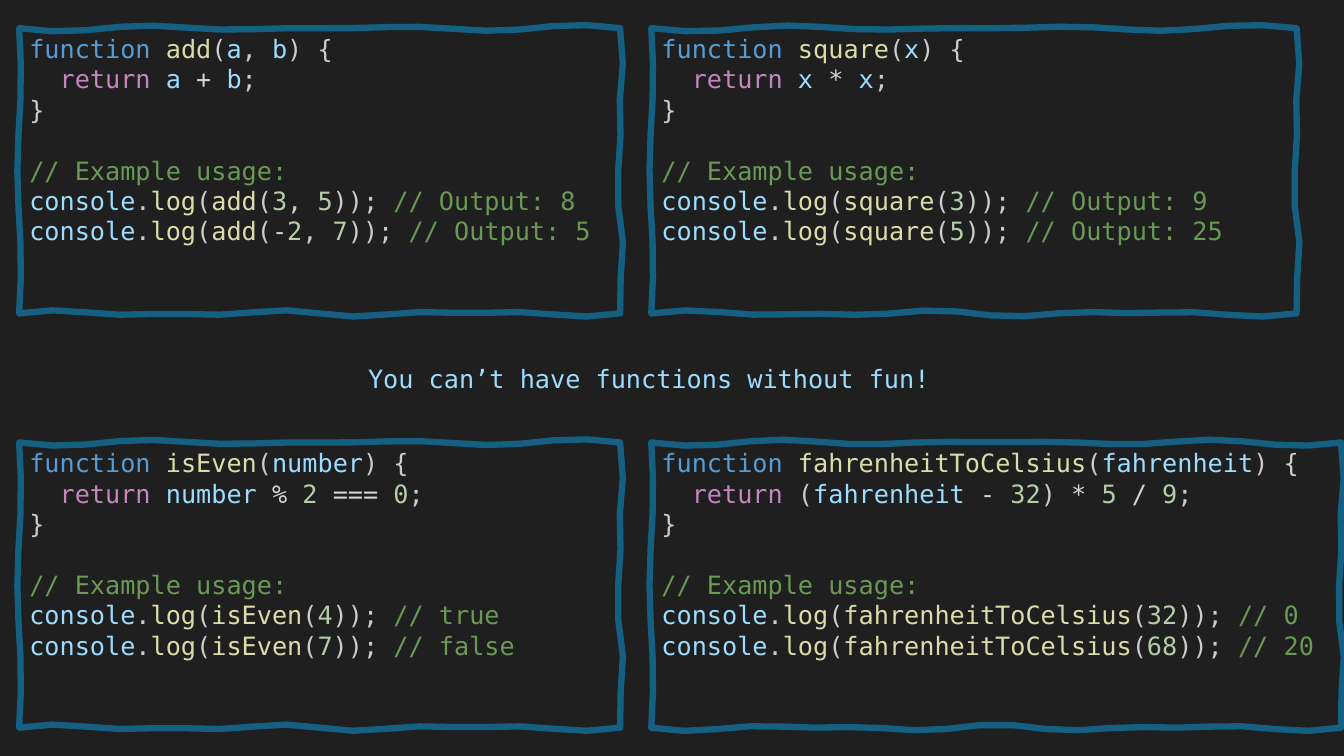
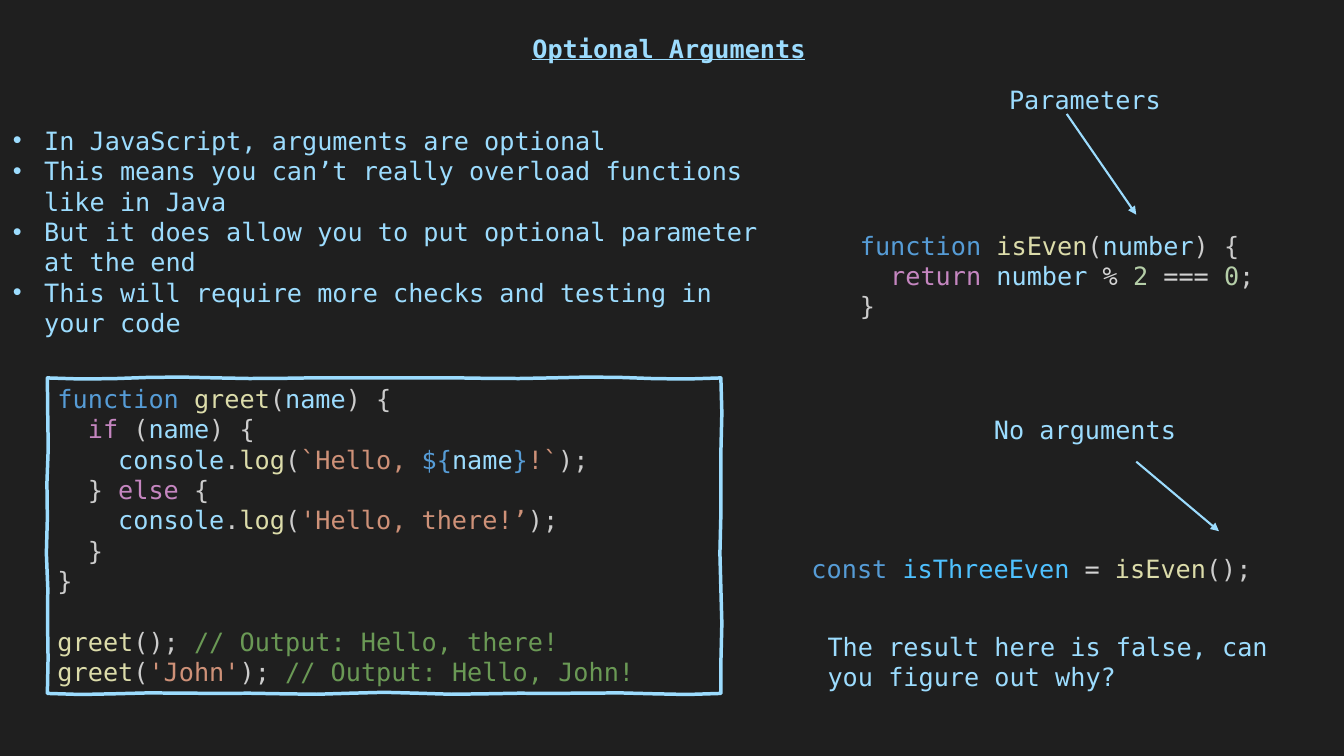
from math import pi, sin

from lxml.etree import SubElement
from pptx import Presentation
from pptx.dml.color import RGBColor
from pptx.enum.shapes import MSO_CONNECTOR
from pptx.enum.text import MSO_ANCHOR, MSO_AUTO_SIZE, PP_ALIGN
from pptx.oxml.ns import qn
from pptx.util import Inches, Pt

BACKGROUND, FRAME_BLUE, SKY = "1F1F1F", "156082", "9CDCFE"
FONT = {"name": "DejaVu Sans Mono", "size": Pt(18)}
LINE_HEIGHT = Pt(21.7)
INSET_X, INSET_Y = Inches(0.1), Inches(0.05)
SYNTAX = {
    "keyword": "569CD6", "control": "C586C0", "call": "DCDCAA",
    "name": SKY, "constant": "4FC1FF", "number": "B5CEA8",
    "string": "CE9178", "comment": "6A9955", "sign": "D4D4D4",
    "plain": "CCCCCC",
}
MARKS = {"k": "keyword", "r": "control", "f": "call", "v": "name",
         "c": "constant", "n": "number", "s": "string", "/": "comment",
         "o": "sign", "p": "plain"}


def header(function, parameter):
    return f"k:function |f:{function}|p:(|{parameter}|p:) {{"


def usage(function, argument, result):
    return f"v:console|p:.|f:log|p:(|f:{function}|p:(|{argument}|p:)); |/:// {result}"


def example(function, parameter, body, *calls):
    return [header(function, parameter), f"r:  return |{body}", "p:}",
            "gap", "/:// Example usage:", *(usage(function, *call) for call in calls)]


COLUMNS, ROWS, FRAME_HEIGHT = (0.19, 6.46), (0.28, 4.39), 2.83
EXAMPLES = [
    (0, 0, 5.96, example("add", "v:a|p:, |v:b", "v:a|o: + |v:b|p:;",
                         ("n:3|p:, |n:5", "Output: 8"),
                         ("o:-|n:2|p:, |n:7", "Output: 5"))),
    (1, 0, 6.4, example("square", "v:x", "v:x|o: * |v:x|p:;",
                        ("n:3", "Output: 9"), ("n:5", "Output: 25"))),
    (0, 1, 5.96, example("isEven", "v:number", "v:number|o: % |n:2|o: === |n:0|p:;",
                         ("n:4", "true"), ("n:7", "false"))),
    (1, 1, 6.84, example("fahrenheitToCelsius", "v:fahrenheit",
                         "p:(|v:fahrenheit|o: - |n:32|p:) |o:* |n:5|o: / |n:9|p:;",
                         ("n:32", "0"), ("n:68", "20"))),
]
GREETING = [
    header("greet", "v:name"),
    "r:  if|p: (|v:name|p:) {",
    "v:    console|p:.|f:log|p:(|s:`Hello, |k:${|v:name|k:}|s:!`|p:);",
    "p:  } |r:else|p: {",
    "v:    console|p:.|f:log|p:(|s:'Hello, there!’|p:);",
    "p:  }",
    "p:}",
    "gap",
    "f:greet|p:(); |/:// Output: Hello, there!",
    "f:greet|p:(|s:'John'|p:); |/:// Output: Hello, John!",
]
IS_EVEN = EXAMPLES[2][3][:3]
NO_ARGUMENT_CALL = ["k:const |c:isThreeEven|o: = |f:isEven|p:();"]
BULLETS = [
    "In JavaScript, arguments are optional",
    "This means you can’t really overload functions like in Java",
    "But it does allow you to put optional parameter at the end",
    "This will require more checks and testing in your code",
]
OPTIONAL_TEXTS = [
    ((8.43, 2.23, 4.3, 1.01), IS_EVEN),
    ((9.91, 0.79, 1.8, 0.4), ["v:Parameters"]),
    ((7.95, 5.44, 4.92, 0.4), NO_ARGUMENT_CALL),
    ((9.76, 4.06, 2.1, 0.4), ["v:No arguments"]),
    ((8.11, 6.21, 4.6, 0.71), ["v:The result here is false, can you figure out why?"]),
]
ARROWS = [(10.58, 1.13, 11.27, 2.13), (11.27, 4.58, 12.09, 5.27)]


def colour(value):
    return RGBColor.from_string(value)


def apply(target, values):
    for attribute, value in values.items():
        setattr(target, attribute, value)


def format_frame(frame, left=INSET_X, top=INSET_Y):
    apply(frame, {"word_wrap": True, "auto_size": MSO_AUTO_SIZE.NONE,
                  "vertical_anchor": MSO_ANCHOR.TOP,
                  "margin_left": left, "margin_right": 0,
                  "margin_top": top, "margin_bottom": 0})


def write_lines(frame, lines):
    paragraph, gap = frame.paragraphs[0], False
    for index, line in enumerate(lines):
        if line == "gap":
            gap = True
            continue
        if index:
            paragraph = frame.add_paragraph()
        apply(paragraph, {"alignment": PP_ALIGN.LEFT, "line_spacing": LINE_HEIGHT,
                          "space_before": LINE_HEIGHT if gap else Pt(0)})
        gap = False
        for piece in line.split("|"):
            mark, _, text = piece.partition(":")
            run = paragraph.add_run()
            run.text = text
            apply(run.font, FONT)
            run.font.color.rgb = colour(SYNTAX[MARKS[mark]])


def add_text(slide, box, lines):
    shape = slide.shapes.add_textbox(*map(Inches, box))
    format_frame(shape.text_frame)
    write_lines(shape.text_frame, lines)
    return shape


def set_title(slide, text, box, **emphasis):
    title = slide.shapes.title
    apply(title, dict(zip(("left", "top", "width", "height"), map(Inches, box))))
    format_frame(title.text_frame)
    write_lines(title.text_frame, ["v:" + text])
    apply(title.text_frame.paragraphs[0].runs[0].font, {"bold": False, **emphasis})


def sketched_side(start, end, swing, phase):
    (x1, y1), (x2, y2) = start, end
    length = abs(x2 - x1) + abs(y2 - y1)
    steps, waves = round(length * 3), round(length)
    for step in range(1, steps + 1):
        share = step / steps
        offset = swing * (0.6 * sin(waves * pi * share)
                          + 0.5 * sin((waves + phase) * pi * share))
        vertical = x1 == x2
        yield (Inches(x1 + (x2 - x1) * share + offset * vertical),
               Inches(y1 + (y2 - y1) * share + offset * (not vertical)))


def add_sketched_frame(slide, box, lines, line_colour, weight, swing):
    left, top, width, height = box
    right, bottom = left + width, top + height
    corners = [(left, top), (right, top), (right, bottom), (left, bottom)]
    builder = slide.shapes.build_freeform(Inches(left), Inches(top))
    points = [point for side in range(4)
              for point in sketched_side(corners[side], corners[(side + 1) % 4],
                                         swing, side + 2)]
    builder.add_line_segments(points, close=True)
    shape = builder.convert_to_shape()
    shape.shadow.inherit = False
    shape.fill.background()
    shape.line.color.rgb = colour(line_colour)
    shape.line.width = Pt(weight)
    format_frame(shape.text_frame, Inches(left) - shape.left + INSET_X,
                 Inches(top) - shape.top + INSET_Y)
    write_lines(shape.text_frame, lines)


def add_bullets(slide, box, items):
    shape = add_text(slide, box, ["v:" + item for item in items])
    for paragraph in shape.text_frame.paragraphs:
        properties = paragraph._p.get_or_add_pPr()
        indent = Inches(0.31)
        properties.set("marL", str(indent))
        properties.set("indent", str(-indent))
        SubElement(properties, qn("a:buFont")).set("typeface", "Arial")
        SubElement(properties, qn("a:buChar")).set("char", "•")


def add_arrow(slide, ends):
    arrow = slide.shapes.add_connector(MSO_CONNECTOR.STRAIGHT, *map(Inches, ends))
    arrow.line.color.rgb = colour(SKY)
    arrow.line.width = Pt(1.5)
    SubElement(arrow.line._get_or_add_ln(), qn("a:tailEnd")).set("type", "triangle")
    SubElement(arrow._element.spPr, qn("a:effectLst"))


def build_examples(slide):
    set_title(slide, "You can’t have functions without fun!", (3.55, 3.55, 6, 0.4))
    for column, row, width, lines in EXAMPLES:
        add_sketched_frame(slide, (COLUMNS[column], ROWS[row], width, FRAME_HEIGHT),
                           lines, FRAME_BLUE, 4.5, 0.03)


def build_optional_arguments(slide):
    set_title(slide, "Optional Arguments", (5.18, 0.28, 3, 0.4),
              bold=True, underline=True)
    for box, lines in OPTIONAL_TEXTS:
        add_text(slide, box, lines)
    for ends in ARROWS:
        add_arrow(slide, ends)
    add_bullets(slide, (0.03, 1.19, 7.76, 2.22), BULLETS)
    add_sketched_frame(slide, (0.47, 3.75, 6.68, 3.13), GREETING, SKY, 2.5, 0.01)


def main():
    presentation = Presentation()
    apply(presentation, {"slide_width": Inches(13.33), "slide_height": Inches(7.5)})
    background = presentation.slide_master.background.fill
    background.solid()
    background.fore_color.rgb = colour(BACKGROUND)
    title_only = presentation.slide_layouts[5]
    for build in (build_examples, build_optional_arguments):
        build(presentation.slides.add_slide(title_only))
    presentation.save("out.pptx")


if __name__ == "__main__":
    main()
